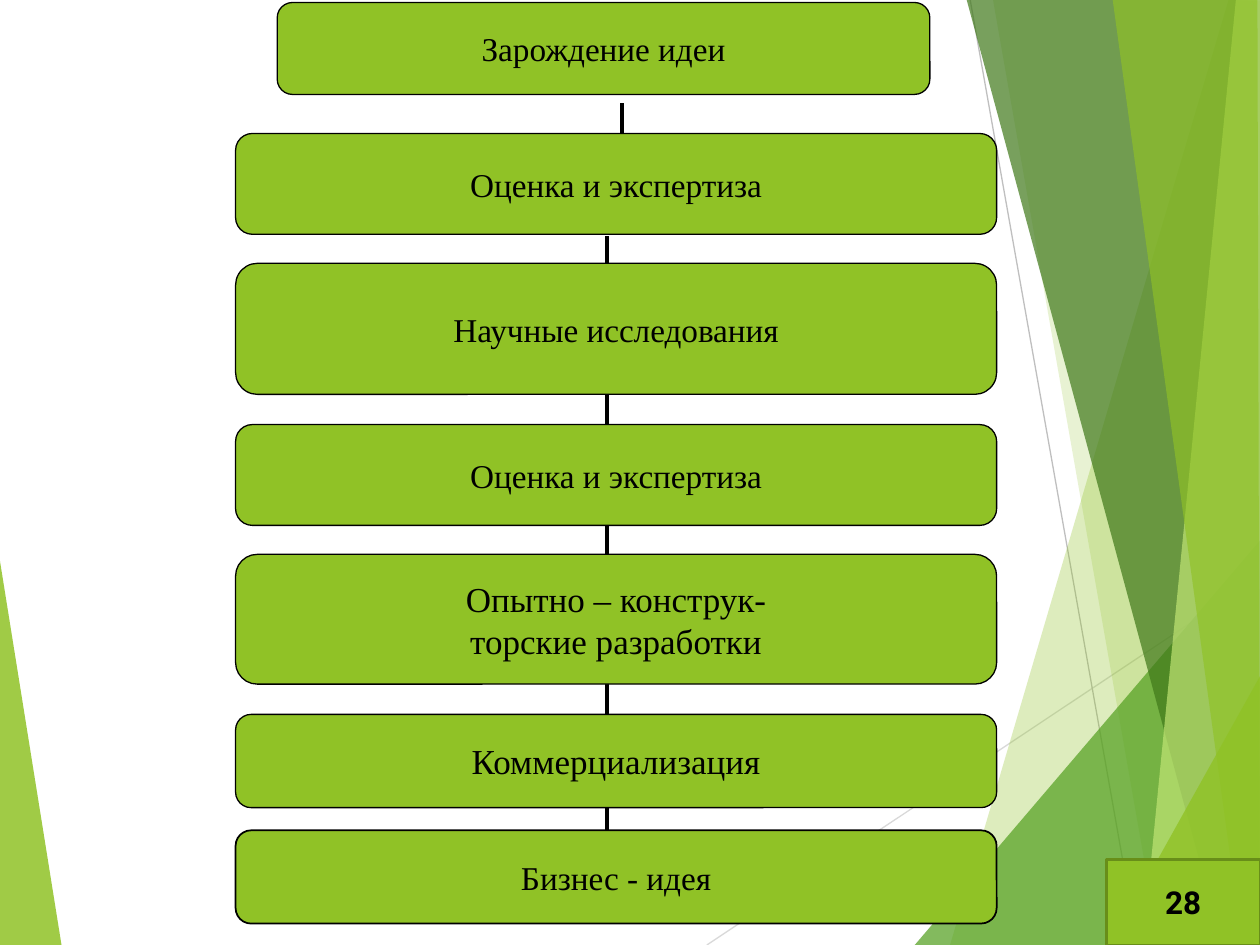
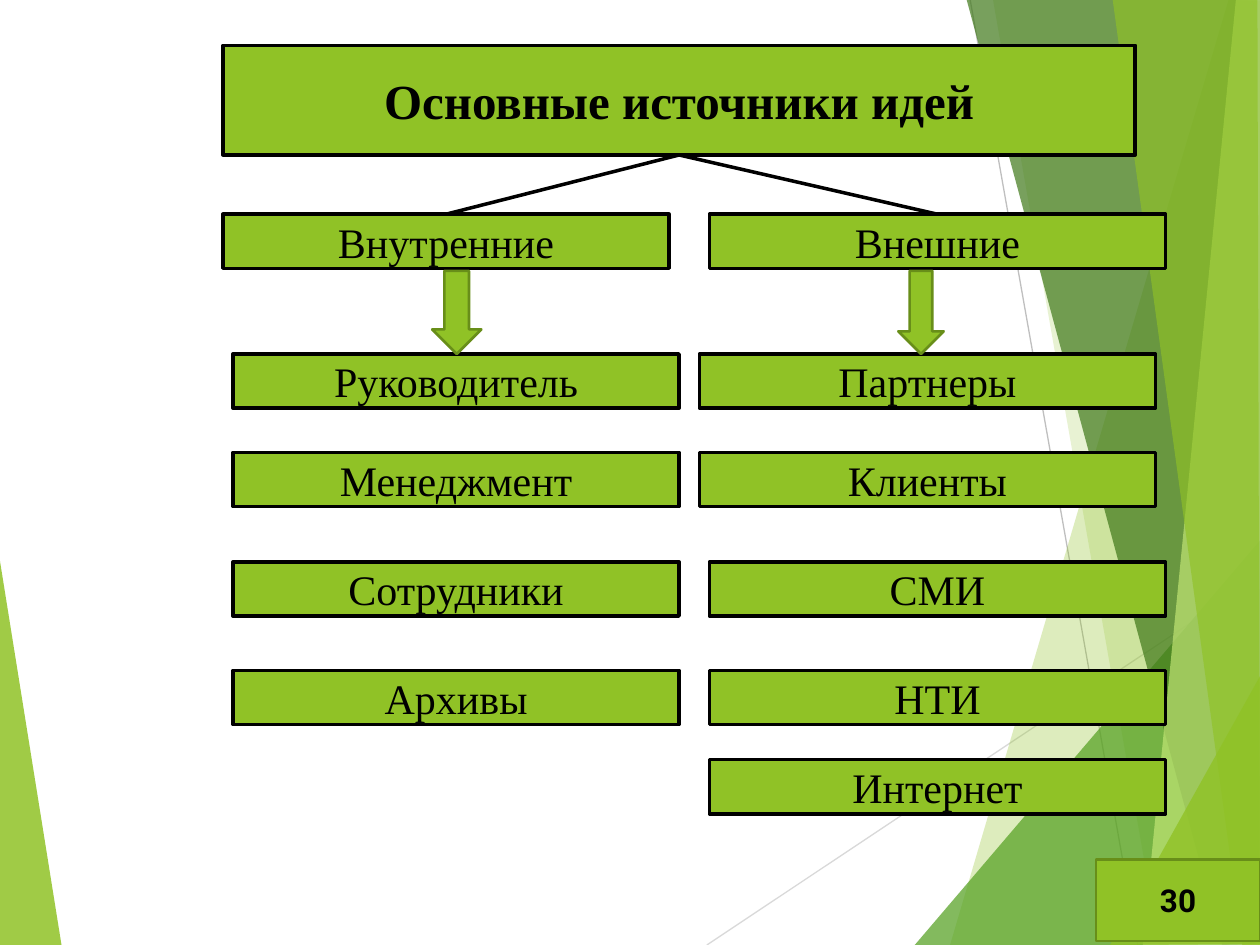
"""Build two slides on innovation: the path of an idea and the sources of ideas."""
from lxml.etree import SubElement
from pptx import Presentation
from pptx.dml.color import RGBColor
from pptx.enum.shapes import MSO_CONNECTOR as CONN, MSO_SHAPE as SHAPE
from pptx.enum.text import MSO_ANCHOR as ANCHOR, PP_ALIGN as ALIGN
from pptx.oxml.ns import qn
from pptx.util import Pt

PX = 9144
W, H = 1000, 750
SERIF, SANS = "Times New Roman", "Roboto"
C = {
    "lime": "90C226", "olive": "688E19", "green": "54A021", "forest": "3F7819",
    "pale": "C0E474", "black": "000000", "silver": "BFBFBF", "mist": "D9D9D9",
}
RAYS = [((561, 750), (1001, 457), "mist"), ((770, 0), (903, 750), "silver")]
FACETS = [
    ("lime", 85, [(-1, 439), (49, 751), (-1, 750)]),
    ("lime", 30, [(975, 0), (754, 750), (1002, 751), (1001, 1)]),
    ("lime", 20, [(788, -1), (920, 750), (1001, 750), (1001, -1)]),
    ("green", 72, [(726, 750), (1000, 429), (1001, 750)]),
    ("forest", 70, [(767, -1), (970, 750), (1001, 749), (1001, -1)]),
    ("pale", 70, [(981, -1), (907, 750), (1001, 750), (1000, -1)]),
    ("lime", 65, [(883, -1), (986, 750), (1000, 750), (998, -1)]),
    ("lime", 80, [(881, 750), (1001, 535), (1001, 749)]),
]


def add_line(s, start, end, color, width):
    cx = s.shapes.add_connector(CONN.STRAIGHT, *(v * PX for v in start + end))
    cx.line.color.rgb = RGBColor.from_string(C[color])
    cx.line.width = Pt(width)
    SubElement(cx._element.spPr, qn("a:effectLst"))
    return cx


def add_box(s, kind, x, y, w, h, text="", size=24, font=SERIF, bold=False,
            edge="black", width=2, wrap=False):
    sp = s.shapes.add_shape(kind, x * PX, y * PX, w * PX, h * PX)
    sp.shadow.inherit = False
    sp.fill.solid()
    sp.fill.fore_color.rgb = RGBColor.from_string(C["lime"])
    sp.line.color.rgb = RGBColor.from_string(C[edge])
    sp.line.width = Pt(width)
    tf = sp.text_frame
    tf.word_wrap = wrap
    tf.vertical_anchor = ANCHOR.MIDDLE
    if text:
        tf.text = text
        for p in tf.paragraphs:
            p.alignment = ALIGN.CENTER
            p.font.name, p.font.size, p.font.bold = font, Pt(size), bold
            p.font.color.rgb = RGBColor.from_string(C["black"])
    return sp


prs = Presentation()
prs.slide_width, prs.slide_height = W * PX, H * PX
stages, sources = [prs.slides.add_slide(prs.slide_layouts[6]) for _ in range(2)]

for s in (stages, sources):
    for start, end, color in RAYS:
        add_line(s, start, end, color, 0.75)
    for color, alpha, points in FACETS:
        fb = s.shapes.build_freeform(*points[0], scale=PX)
        fb.add_line_segments(points[1:], close=True)
        sp = fb.convert_to_shape()
        sp.shadow.inherit = False
        sp.line.fill.background()
        sp.fill.solid()
        sp.fill.fore_color.rgb = RGBColor.from_string(C[color])
        clr = sp._element.spPr.find(".//" + qn("a:srgbClr"))
        SubElement(clr, qn("a:alpha"), val=str(alpha * 1000))

add_line(stages, (482, 697), (482, 187), "black", 2.25)
add_line(stages, (494, 106), (494, 82), "black", 2.25)
for x, y, w, h, text, size, width in [
    (220, 2, 518, 73, "Зарождение идеи", 19, 0.75),
    (187, 106, 604, 80, "Оценка и экспертиза", 19, 0.75),
    (187, 209, 604, 104, "Научные исследования", 19, 0.75),
    (187, 337, 604, 80, "Оценка и экспертиза", 19, 0.75),
    (187, 440, 604, 103, "Опытно – конструк-\nторские разработки", 20, 0.75),
    (187, 567, 604, 74, "Коммерциализация", 20, 0.75),
    (187, 659, 604, 74, "Бизнес - идея", 19, 1),
]:
    tf = add_box(stages, SHAPE.ROUNDED_RECTANGLE, x, y, w, h, text, size,
                 width=width).text_frame
    tf.margin_left = tf.margin_right = tf.margin_top = tf.margin_bottom = 0

title = add_box(sources, SHAPE.RECTANGLE, 177, 36, 724, 87,
                "Основные источники идей", 28, bold=True)
for head, head_x, w, arrow_x, arrow_w, items in [
    ("Внутренние", 177, 354, 343, 39,
     [("Руководитель", 185, 281), ("Менеджмент", 185, 359),
      ("Сотрудники", 185, 446), ("Архивы", 185, 532)]),
    ("Внешние", 563, 362, 713, 36,
     [("Партнеры", 555, 281), ("Клиенты", 555, 359), ("СМИ", 563, 446),
      ("НТИ", 563, 532), ("Интернет", 563, 603)]),
]:
    group = add_box(sources, SHAPE.RECTANGLE, head_x, 170, w, 43, head)
    cx = add_line(sources, (539, 123), (head_x + w // 2, 170), "black", 2)
    cx.begin_connect(title, 2)
    cx.end_connect(group, 0)
    for text, x, y in items:
        add_box(sources, SHAPE.RECTANGLE, x, y, w, 43, text)
    add_box(sources, SHAPE.DOWN_ARROW, arrow_x, 215, arrow_w, 66,
            edge="olive", width=1.5)

for s, number, x, h in [(stages, "28", 878, 68), (sources, "30", 870, 65)]:
    add_box(s, SHAPE.RECTANGLE, x, 682, W - x, h, number, 18, SANS, True,
            "olive", 1.5, True)

prs.save("out.pptx")
